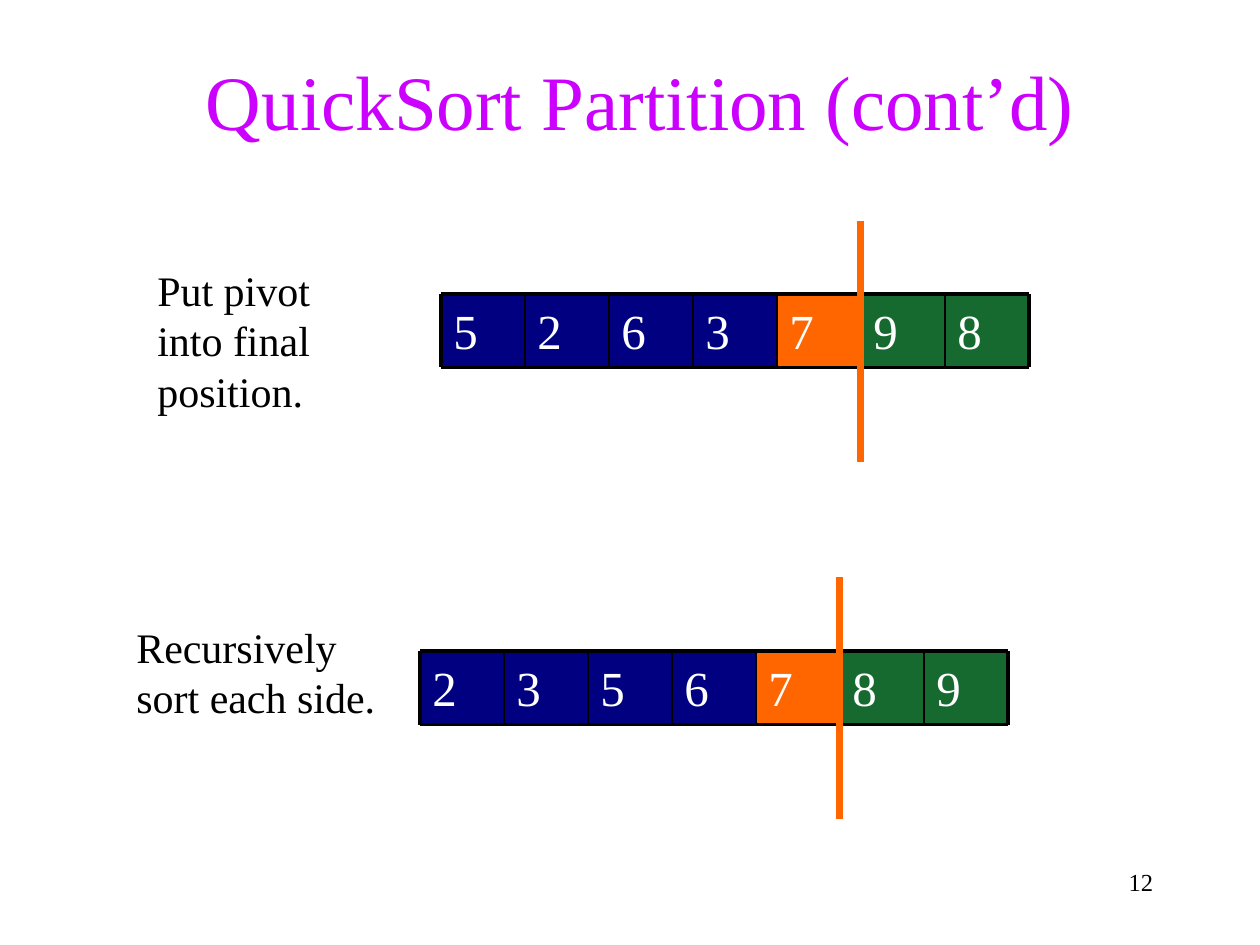
"""Build the QuickSort partition slide with two partitioned arrays."""
from lxml.etree import SubElement
from pptx import Presentation
from pptx.dml.color import RGBColor
from pptx.enum.shapes import MSO_CONNECTOR, MSO_SHAPE
from pptx.enum.text import MSO_ANCHOR, PP_ALIGN
from pptx.oxml.ns import qn
from pptx.util import Inches, Pt

COLORS = {
    "title": "CC00FF", "text": "000000", "digit": "FFFFFF", "border": "000000",
    "smaller": "000080", "pivot": "FF6600", "larger": "166A30",
}
FONT = "Times New Roman"

TEXTS = [
    {"lines": ["QuickSort Partition (cont’d)"], "box": (10, 2, 102, 15), "size": 44,
     "color": "title", "align": PP_ALIGN.CENTER, "anchor": MSO_ANCHOR.MIDDLE},
    {"lines": ["Put pivot", "into final", "position."], "box": (13.8, 24.6, 17, 15.6),
     "size": 24, "wrap": False},
    {"lines": ["Recursively", "sort each side."], "box": (11.8, 58.6, 25.2, 10.8),
     "size": 24, "wrap": False},
    {"lines": ["12"], "box": (86, 82, 25, 6), "size": 14, "align": PP_ALIGN.RIGHT},
]
ARRAYS = [
    {"values": [5, 2, 6, 3, 7, 9, 8], "left": 42, "top": 28},
    {"values": [2, 3, 5, 6, 7, 8, 9], "left": 40, "top": 62},
]
PIVOT = 7
CELL_WIDTH, CELL_HEIGHT = 8, 7
DIVIDER_RISE, DIVIDER_HEIGHT = 7, 23

presentation = Presentation()
presentation.slide_width, presentation.slide_height = Inches(10), Inches(7.5)
slide = presentation.slides.add_slide(presentation.slide_layouts[6])
UNIT = presentation.slide_width / 120


def to_emu(*lengths):
    return [round(length * UNIT) for length in lengths]


def color(name):
    return RGBColor.from_string(COLORS[name])


def write(shape, lines, size, color_name, align=PP_ALIGN.LEFT,
          anchor=MSO_ANCHOR.TOP, wrap=True):
    frame = shape.text_frame
    frame.text = "\n".join(lines)
    for name, value in {"word_wrap": wrap, "vertical_anchor": anchor}.items():
        setattr(frame, name, value)
    for paragraph in frame.paragraphs:
        paragraph.alignment = align
        for name, value in {"name": FONT, "size": Pt(size)}.items():
            setattr(paragraph.font, name, value)
        paragraph.font.color.rgb = color(color_name)


def add_line(start, end, color_name, width):
    line = slide.shapes.add_connector(
        MSO_CONNECTOR.STRAIGHT, *to_emu(*start), *to_emu(*end))
    line.line.color.rgb = color(color_name)
    line.line.width = Pt(width)
    SubElement(line._element.spPr, qn("a:effectLst"))


def add_cell(value, left, top):
    kind = "smaller" if value < PIVOT else "pivot" if value == PIVOT else "larger"
    cell = slide.shapes.add_shape(
        MSO_SHAPE.RECTANGLE, *to_emu(left, top, CELL_WIDTH, CELL_HEIGHT))
    cell.shadow.inherit = False
    cell.fill.solid()
    cell.fill.fore_color.rgb = color(kind)
    cell.line.fill.background()
    write(cell, [str(value)], 28, "digit")


def add_array(values, left, top):
    count = len(values)
    edges = [left + CELL_WIDTH * column for column in range(count + 1)]
    bottom = top + CELL_HEIGHT
    for value, edge in zip(values, edges):
        add_cell(value, edge, top)
    for level in (top, bottom):
        add_line((left, level), (edges[-1], level), "border", 2.25)
    for column, edge in enumerate(edges):
        width = 2.25 if column in (0, count) else 1
        add_line((edge, top), (edge, bottom), "border", width)
    divider = edges[values.index(PIVOT) + 1]
    start = top - DIVIDER_RISE
    add_line((divider, start), (divider, start + DIVIDER_HEIGHT), "pivot", 4)


for array in ARRAYS:
    add_array(**array)
for text in TEXTS:
    box = slide.shapes.add_textbox(*to_emu(*text["box"]))
    write(box, text["lines"], text["size"], text.get("color", "text"),
          text.get("align", PP_ALIGN.LEFT), text.get("anchor", MSO_ANCHOR.TOP),
          text.get("wrap", True))

presentation.save("out.pptx")
